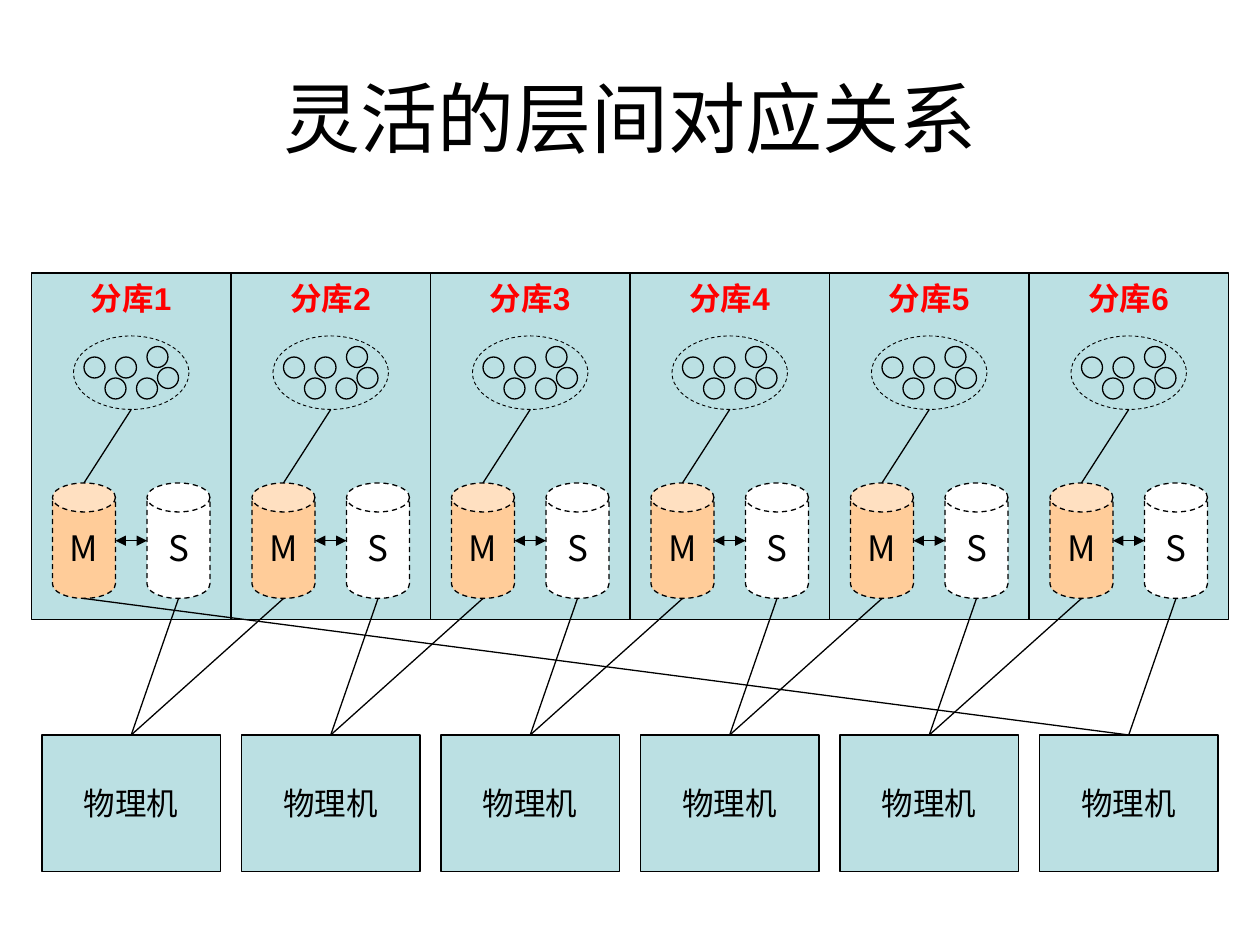
from lxml import etree
from pptx import Presentation, util as u
from pptx.dml.color import RGBColor
from pptx.enum import dml, shapes, text
from pptx.oxml.ns import qn

INK = {"black": "000000", "red": "FF0000", "teal": "BBE0E3",
       "peach": "FFCC99", "white": "FFFFFF"}
SANS, CJK = "Arial", "Noto Sans CJK SC"
KIND = shapes.MSO_SHAPE
COUNT = 6
# Grid lengths are in twelfths of an inch.
PITCH = 19
SHARD = (3, 26, 19, 33)
HOST = (4, 70, 17, 13)
DOTS = [(7, 10), (11, 7), (10, 10), (8, 8), (5, 8), (12, 9)]


def grid(*cells):
    return [u.Inches(cell / 12) for cell in cells]


def color(name):
    return RGBColor.from_string(INK[name])


def write(shape, words, size, font=SANS, ink="black", bold=False,
          anchor=text.MSO_ANCHOR.MIDDLE, wrap=False):
    frame = shape.text_frame
    frame.word_wrap = wrap
    frame.vertical_anchor = anchor
    para = frame.paragraphs[0]
    para.text = words
    para.alignment = text.PP_ALIGN.CENTER
    para.font.size = u.Pt(size)
    para.font.name = font
    para.font.bold = bold
    para.font.color.rgb = color(ink)


def draw(slide, kind, box, fill=None, width=0.75, dash=False):
    shape = slide.shapes.add_shape(kind, *grid(*box))
    shape.shadow.inherit = False
    if fill:
        shape.fill.solid()
        shape.fill.fore_color.rgb = color(fill)
    else:
        shape.fill.background()
    shape.line.color.rgb = color("black")
    shape.line.width = u.Pt(width)
    if dash:
        shape.line.dash_style = dml.MSO_LINE.DASH
    return shape


def link(slide, start, end, arrows=False):
    line = slide.shapes.add_connector(
        shapes.MSO_CONNECTOR.STRAIGHT, *grid(*start, *end))
    line.line.color.rgb = color("black")
    line.line.width = u.Pt(0.75)
    props = line.line._get_or_add_ln()
    if arrows:
        for tag in ("a:headEnd", "a:tailEnd"):
            etree.SubElement(props, qn(tag), type="triangle")
    etree.SubElement(props.getparent(), qn("a:effectLst"))


def add_title(slide, left, top, width, height):
    box = slide.shapes.add_textbox(
        *[u.Inches(n) for n in (left, top, width, height)])
    write(box, "灵活的层间对应关系", 44, wrap=True)


def add_shard(slide, box, number):
    """Draw one shard: its label, data cluster, master and slave."""
    left, top = box[:2]
    panel = draw(slide, KIND.RECTANGLE, box, "teal")
    write(panel, f"分库{number}", 18, ink="red", bold=True,
          anchor=text.MSO_ANCHOR.TOP)
    for name, x, fill in (("S", 11, "white"), ("M", 2, "peach")):
        can = draw(slide, KIND.CAN, (left + x, top + 20, 6, 11), fill,
                   dash=True)
        can.adjustments[0] = 0.46
        write(can, name, 20, CJK)
    link(slide, (left + 8, top + 25.5), (left + 11, top + 25.5), arrows=True)
    for x, y in DOTS:
        draw(slide, KIND.OVAL, (left + x, top + y, 2, 2), "teal")
    draw(slide, KIND.OVAL, (left + 4, top + 6, 11, 7), width=0.5, dash=True)
    link(slide, (left + 9.5, top + 13), (left + 5, top + 20))


def add_host(slide, box):
    write(draw(slide, KIND.RECTANGLE, box, "teal"), "物理机", 18)


def add_links(slide, shards, hosts):
    """Join each host to its own slave and to the next shard's master."""
    for i, (left, top, width, _) in enumerate(hosts):
        port = (left + width / 2, top)
        own, after = shards[i], shards[(i + 1) % COUNT]
        link(slide, (own[0] + 14, own[1] + 31), port)
        link(slide, (after[0] + 5, after[1] + 31), port)


def spread(box):
    left, *rest = box
    return [(left + i * PITCH, *rest) for i in range(COUNT)]


def main():
    deck = Presentation()
    deck.slide_width, deck.slide_height = u.Inches(10), u.Inches(7.5)
    slide = deck.slides.add_slide(deck.slide_layouts[6])
    shards, hosts = spread(SHARD), spread(HOST)
    add_title(slide, 0.5, 0.3, 9, 1.25)
    for number, box in enumerate(shards, 1):
        add_shard(slide, box, number)
    for box in hosts:
        add_host(slide, box)
    add_links(slide, shards, hosts)
    deck.save("out.pptx")


if __name__ == "__main__":
    main()
